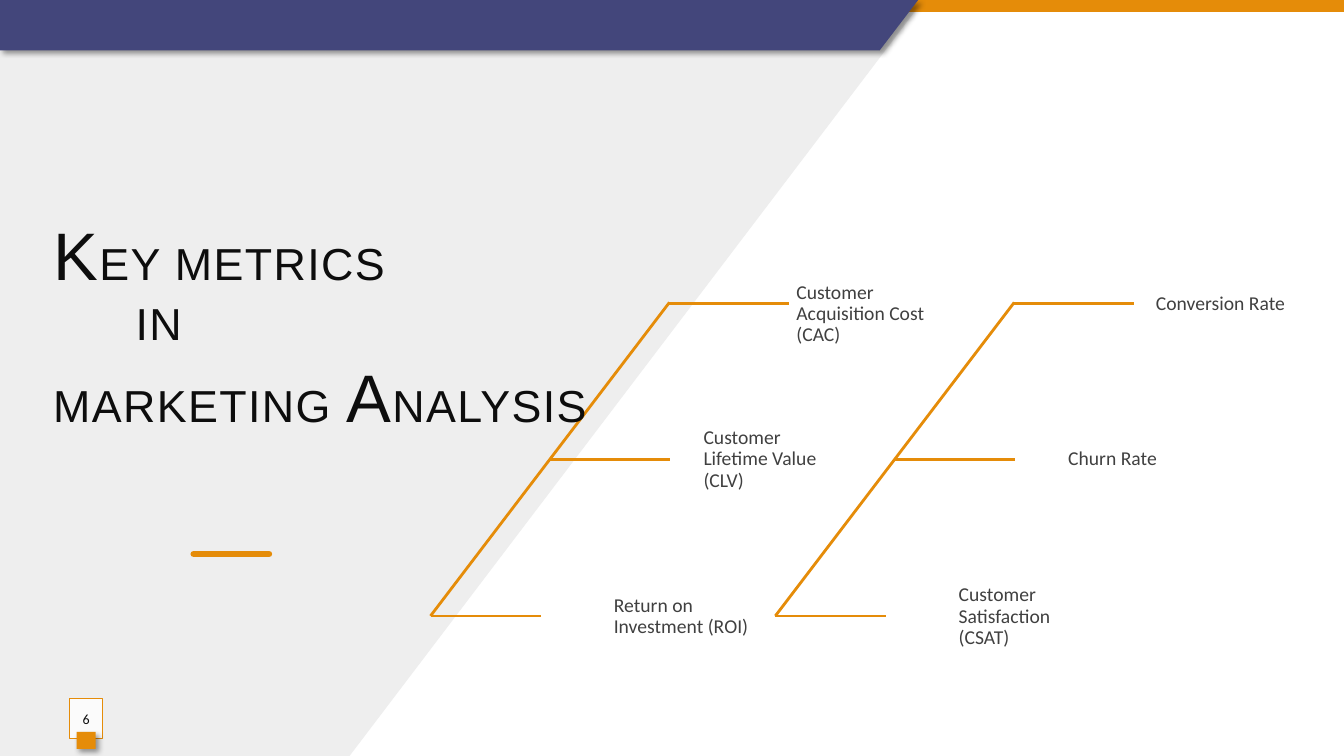
from dataclasses import dataclass

from lxml import etree
from pptx import Presentation
from pptx.dml.color import RGBColor
from pptx.enum.shapes import MSO_CONNECTOR, MSO_SHAPE
from pptx.enum.text import MSO_ANCHOR, PP_ALIGN
from pptx.oxml.ns import qn
from pptx.util import Cm, Pt

RECTANGLE = MSO_SHAPE.RECTANGLE
STRAIGHT = MSO_CONNECTOR.STRAIGHT
TOP, MIDDLE = MSO_ANCHOR.TOP, MSO_ANCHOR.MIDDLE
CENTER = PP_ALIGN.CENTER

WIDTH, HEIGHT = 33.87, 19.05
ORANGE, PURPLE, GREY, WHITE = "E58C09", "43467B", "EEEEEE", "FFFFFF"
TITLE_COLOUR, LABEL_COLOUR = "0D0D0D", "404040"
BRANCH_STEP = 8.69
LABEL_WIDTH = 3.63


@dataclass
class Stroke:
    x1: float
    y1: float
    x2: float
    y2: float


@dataclass
class Label:
    text: str
    left: float
    middle: float


@dataclass
class TitleLine:
    spans: list[tuple[str, int]]
    indent: float
    space_before: float


BRANCH = [
    Stroke(16.87, 7.62, 10.85, 15.52),
    Stroke(13.84, 11.58, 16.89, 11.58),
    Stroke(16.84, 7.65, 19.89, 7.65),
    Stroke(10.85, 15.52, 13.64, 15.52),
]
LABELS = [
    Label("Customer Acquisition Cost (CAC)", 20.07, 7.92),
    Label("Customer Lifetime Value (CLV)", 17.73, 11.58),
    Label("Return on Investment (ROI)", 15.47, 15.54),
    Label("Conversion Rate", 29.13, 7.66),
    Label("Churn Rate", 26.92, 11.58),
    Label("Customer Satisfaction (CSAT)", 24.16, 15.54),
]
TITLE = [
    TitleLine([("K", 48), ("EY METRICS", 32)], 0, 0),
    TitleLine([("IN", 32)], 2.08, 1),
    TitleLine([("MARKETING ", 32), ("A", 48), ("NALYSIS", 32)], 0, 4),
]


def colour(value: str) -> RGBColor:
    return RGBColor.from_string(value)


def paint(shape, fill: str) -> None:
    shape.shadow.inherit = False
    shape.fill.solid()
    shape.fill.fore_color.rgb = colour(fill)
    shape.line.fill.background()


def add_rectangle(page, left: float, top: float, width: float, height: float, fill: str):
    shape = page.shapes.add_shape(RECTANGLE, Cm(left), Cm(top), Cm(width), Cm(height))
    paint(shape, fill)
    return shape


def add_polygon(page, points: list[tuple[float, float]], fill: str):
    corners = [(Cm(x), Cm(y)) for x, y in points]
    builder = page.shapes.build_freeform(*corners[0])
    builder.add_line_segments(corners[1:], close=True)
    shape = builder.convert_to_shape()
    paint(shape, fill)
    return shape


def add_shadow(shape) -> None:
    effects = shape._element.spPr.find(qn("a:effectLst"))
    shadow = etree.SubElement(
        effects, qn("a:outerShdw"), blurRad=str(Pt(4)), dist=str(Pt(3)),
        dir=str(45 * 60000), algn="tl", rotWithShape="0")
    black = etree.SubElement(shadow, qn("a:srgbClr"), val="000000")
    etree.SubElement(black, qn("a:alpha"), val="40000")


def add_stroke(page, stroke: Stroke, weight: float, shift: float = 0):
    line = page.shapes.add_connector(
        STRAIGHT, Cm(stroke.x1 + shift), Cm(stroke.y1), Cm(stroke.x2 + shift), Cm(stroke.y2))
    line.line.color.rgb = colour(ORANGE)
    line.line.width = Pt(weight)
    etree.SubElement(line._element.spPr, qn("a:effectLst"))
    return line


def set_frame(shape, anchor, side: float, top: float):
    frame = shape.text_frame
    frame.word_wrap = True
    frame.vertical_anchor = anchor
    frame.margin_left = frame.margin_right = Cm(side)
    frame.margin_top = frame.margin_bottom = Cm(top)
    return frame


def add_span(para, text: str, font: str, size: float, fill: str):
    span = para.add_run()
    span.text = text
    span.font.name = font
    span.font.size = Pt(size)
    span.font.color.rgb = colour(fill)
    return span


def add_title(page) -> None:
    box = page.shapes.add_textbox(Cm(1.09), Cm(5.08), Cm(30.02), Cm(6.78))
    frame = set_frame(box, TOP, 0.25, 0.3)
    for index, line in enumerate(TITLE):
        para = frame.add_paragraph() if index else frame.paragraphs[0]
        para.space_before = Pt(line.space_before)
        para._p.get_or_add_pPr().set("marL", str(Cm(line.indent)))
        for text, size in line.spans:
            span = add_span(para, text, "Arial", size, TITLE_COLOUR)
            span.font._element.set("spc", "100")


def add_label(page, label: Label) -> None:
    height = 0.46
    box = page.shapes.add_textbox(
        Cm(label.left), Cm(label.middle - height / 2), Cm(LABEL_WIDTH), Cm(height))
    para = set_frame(box, MIDDLE, 0, 0).paragraphs[0]
    para.line_spacing = 0.9
    add_span(para, label.text, "Calibri", 14, LABEL_COLOUR)


def add_page_number(page) -> None:
    frame_box = add_rectangle(page, 1.75, 17.6, 0.84, 1.02, WHITE)
    fill = frame_box._element.spPr.find(qn("a:solidFill"))
    etree.SubElement(fill[0], qn("a:alpha"), val="82000")
    frame_box.line.color.rgb = colour(ORANGE)
    frame_box.line.width = Pt(0.75)
    para = set_frame(frame_box, MIDDLE, 0, 0.13).paragraphs[0]
    para.alignment = CENTER
    add_span(para, "6", "Calibri", 10, TITLE_COLOUR)
    add_shadow(add_rectangle(page, 1.93, 18.44, 0.48, 0.43, ORANGE))


def main() -> None:
    deck = Presentation()
    deck.slide_width, deck.slide_height = Cm(WIDTH), Cm(HEIGHT)
    page = deck.slides.add_slide(deck.slide_layouts[6])

    add_polygon(page, [(0, 0), (23.14, 0), (23.14, 0.18), (8.81, HEIGHT), (0, HEIGHT)], GREY)
    add_rectangle(page, 0, 0, WIDTH, 0.3, ORANGE)
    add_shadow(add_polygon(page, [(0, 0), (23.14, 0), (22.17, 1.27), (0, 1.27)], PURPLE))

    accent = add_stroke(page, Stroke(4.88, 13.96, 6.78, 13.96), 4.5)
    accent.line._get_or_add_ln().set("cap", "rnd")
    for column in range(2):
        for stroke in BRANCH:
            add_stroke(page, stroke, 2, column * BRANCH_STEP)

    add_title(page)
    for label in LABELS:
        add_label(page, label)
    add_page_number(page)
    deck.save("out.pptx")


if __name__ == "__main__":
    main()
